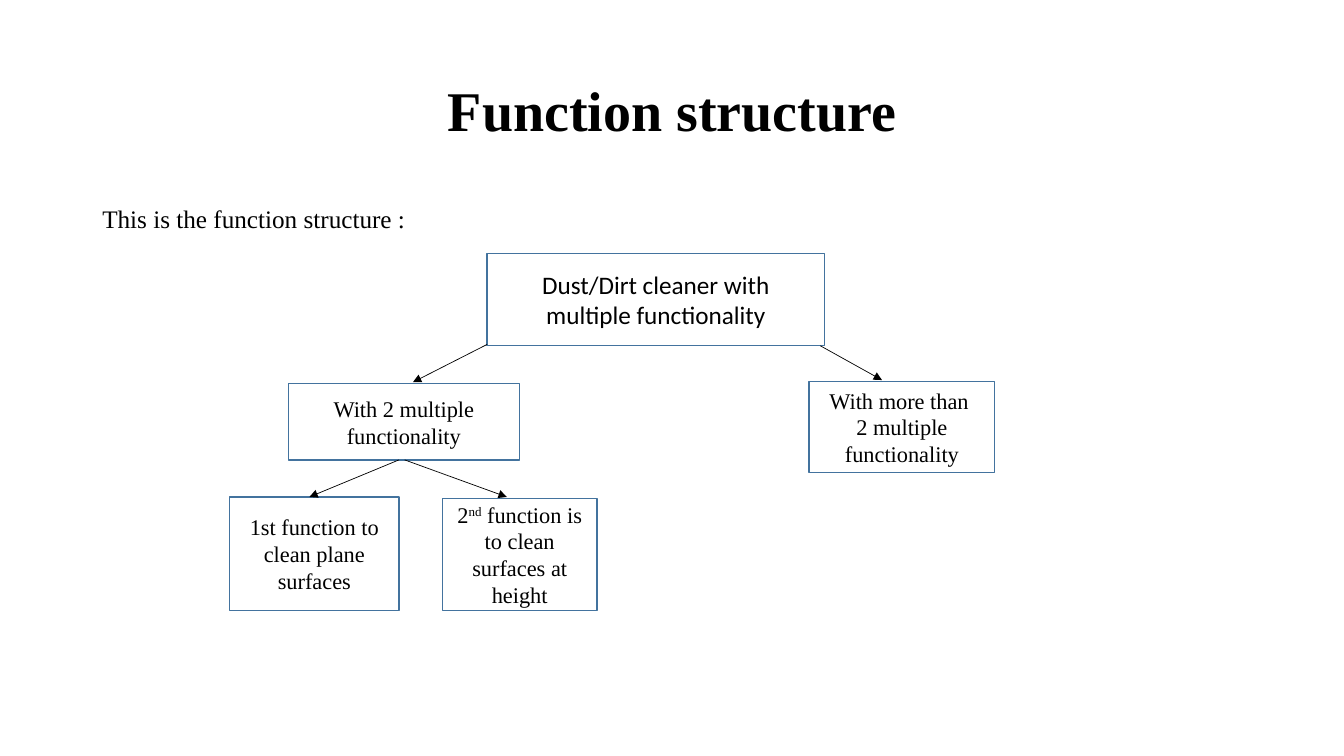
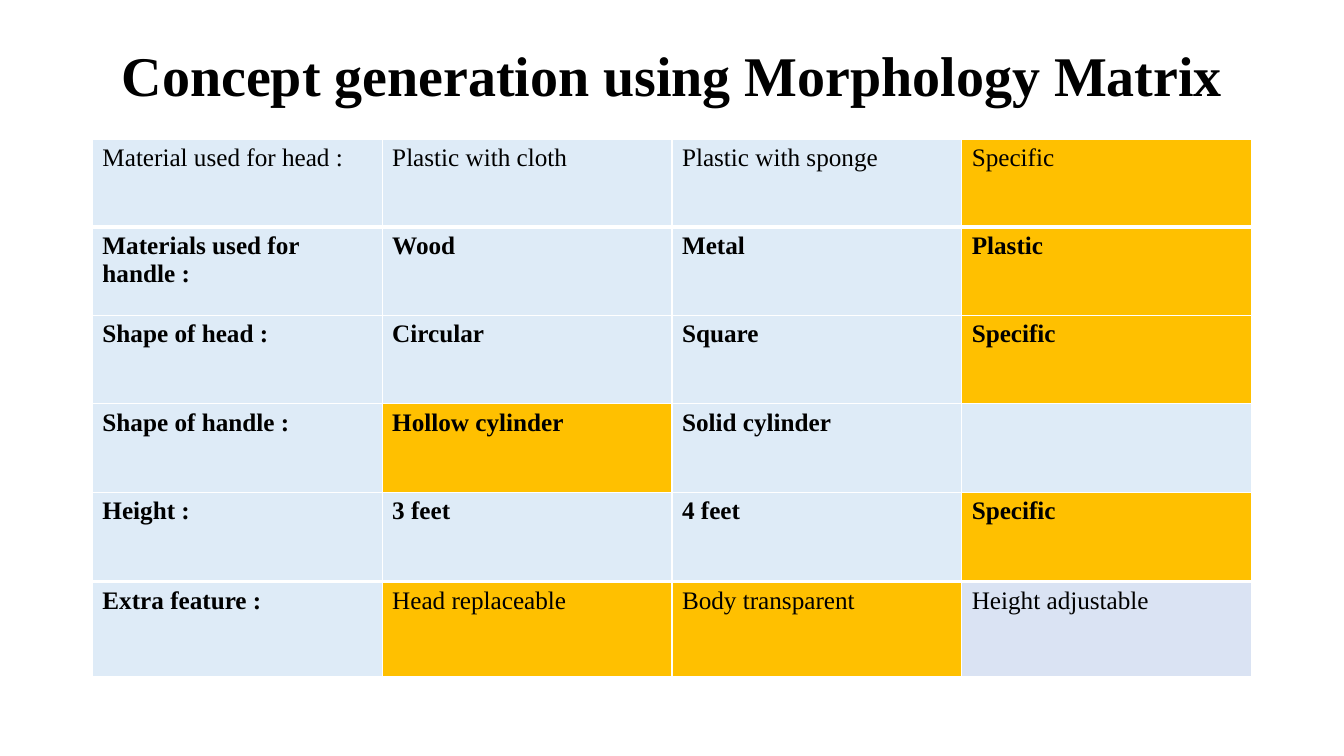
import pptx
import pptx.util
import pptx.dml.color
import pptx.enum.shapes
import pptx.enum.text
import pptx.oxml
import pptx.oxml.ns

Pt = pptx.util.Pt
ALIGN = pptx.enum.text.PP_ALIGN
ANCHOR = pptx.enum.text.MSO_ANCHOR
SERIF, SANS = "Times New Roman", "Calibri"
BLACK, WHITE, BOX_LINE = "000000", "FFFFFF", "43739E"
PALE, AMBER, LAVENDER = "DEEBF7", "FFC000", "DAE3F3"
LEFT, WIDTH = 66, 828


def rgb(color):
    return pptx.dml.color.RGBColor.from_string(color)


def format_paragraph(p, size, align=ALIGN.LEFT, font=SERIF, bold=False):
    p.alignment = align
    p.font.name, p.font.size, p.font.bold = font, Pt(size), bold
    p.font.color.rgb = rgb(BLACK)


def add_titled_slide(prs, title, top, height):
    s = prs.slides.add_slide(prs.slide_layouts[5])
    sp = s.shapes.title
    sp.left, sp.top, sp.width, sp.height = map(Pt, (LEFT, top, WIDTH, height))
    tf = sp.text_frame
    tf.text = title
    tf.word_wrap = True
    tf.auto_size = pptx.enum.text.MSO_AUTO_SIZE.NONE
    tf.vertical_anchor = ANCHOR.MIDDLE
    p = tf.paragraphs[0]
    format_paragraph(p, 40, ALIGN.CENTER, bold=True)
    p.line_spacing = 0.9
    return s


def add_intro(s, text, top):
    tf = s.shapes.add_textbox(Pt(LEFT), Pt(top), Pt(WIDTH), Pt(36)).text_frame
    tf.word_wrap = True
    p = tf.paragraphs[0]
    p.text = text
    format_paragraph(p, 18)
    p.line_spacing = 0.9


def add_box(s, bounds, lines, size=16, font=SERIF):
    """Add a bordered box; each line is a list of (text, is_superscript) runs."""
    sp = s.shapes.add_shape(pptx.enum.shapes.MSO_SHAPE.RECTANGLE, *map(Pt, bounds))
    sp.shadow.inherit = False
    sp.fill.solid()
    sp.fill.fore_color.rgb = rgb(WHITE)
    sp.line.color.rgb = rgb(BOX_LINE)
    sp.line.width = Pt(1)
    tf = sp.text_frame
    tf.vertical_anchor = ANCHOR.MIDDLE
    for i, runs in enumerate(lines):
        p = tf.add_paragraph() if i else tf.paragraphs[0]
        format_paragraph(p, size, ALIGN.CENTER, font)
        for text, is_superscript in runs:
            r = p.add_run()
            r.text = text
            if is_superscript:
                r.font._element.set("baseline", "30000")


def add_arrow(s, x1, y1, x2, y2):
    line = s.shapes.add_connector(
        pptx.enum.shapes.MSO_CONNECTOR.STRAIGHT, Pt(x1), Pt(y1), Pt(x2), Pt(y2))
    line.line.color.rgb = rgb(BLACK)
    line.line.width = Pt(0.5)
    ns = pptx.oxml.ns.nsdecls("a")
    line.line._get_or_add_ln().append(
        pptx.oxml.parse_xml(f'<a:tailEnd {ns} type="triangle"/>'))
    line._element.spPr.append(pptx.oxml.parse_xml(f"<a:effectLst {ns}/>"))


def set_borders(cell, bottom):
    """Draw white cell borders, 1 pt except for the bottom width given."""
    tcPr = cell._tc.get_or_add_tcPr()
    for tag, width in (("lnL", 1), ("lnR", 1), ("lnT", 1), ("lnB", bottom)):
        tcPr.append(pptx.oxml.parse_xml(
            f'<a:{tag} {pptx.oxml.ns.nsdecls("a")} w="{Pt(width)}"><a:solidFill>'
            f'<a:srgbClr val="{WHITE}"/></a:solidFill></a:{tag}>'))


def add_matrix(s, top, heights, rows, fills, plain):
    """Add a table; fills maps (row, column) to a colour, plain lists cells not in bold."""
    columns = len(rows[0])
    table = s.shapes.add_table(len(rows), columns, Pt(LEFT), Pt(top),
                               Pt(WIDTH), Pt(sum(heights))).table
    table.first_row = table.horz_banding = False
    for r, (height, texts) in enumerate(zip(heights, rows)):
        table.rows[r].height = Pt(height)
        for c, text in enumerate(texts):
            cell = table.cell(r, c)
            set_borders(cell, bottom=1 if r else 3)
            cell.fill.solid()
            cell.fill.fore_color.rgb = rgb(fills.get((r, c), PALE))
            p = cell.text_frame.paragraphs[0]
            p.text = text
            format_paragraph(p, 18, bold=(r, c) not in plain)


def add_function_structure(prs):
    s = add_titled_slide(prs, "Function structure", 29, 104)
    add_intro(s, "This is the function structure :", 144)
    add_box(s, (348, 181, 241, 66),
            [[("Dust/Dirt cleaner with multiple functionality", False)]], 18, SANS)
    for bounds, lines in (
        ((206, 274, 165, 54.5), [[("With 2 multiple functionality", False)]]),
        ((578, 272.5, 132.5, 65), [[("With more than ", False)],
                                   [("2 multiple functionality", False)]]),
        ((164, 355, 121, 81), [[("1st function to clean plane surfaces", False)]]),
        ((316, 356, 110.5, 80), [[("2", False), ("nd", True),
                                  (" function is to clean surfaces at height", False)]]),
    ):
        add_box(s, bounds, lines)
    for ends in ((348, 246, 295, 273), (586, 247, 630, 271.5),
                 (285, 328.5, 221, 355), (289, 328.5, 362, 355)):
        add_arrow(s, *ends)


def add_morphology_matrix(prs):
    s = add_titled_slide(prs, "Concept generation using Morphology Matrix", 21, 70)
    add_matrix(s, 99.5, [62.5] + [63.25] * 4, [
        ["Material used for head :", "Plastic with cloth", "Plastic with sponge", "Specific"],
        ["Materials used for handle :", "Wood", "Metal", "Plastic"],
        ["Shape of head :", "Circular", "Square", "Specific"],
        ["Shape of handle :", "Hollow cylinder", "Solid cylinder", ""],
        ["Height :", "3 feet", "4 feet", "Specific"],
    ], fills=dict.fromkeys([(0, 3), (1, 3), (2, 3), (3, 1), (4, 3)], AMBER),
        plain=[(0, c) for c in range(4)])
    add_matrix(s, 416, [68.5], [
        ["Extra feature :", "Head replaceable", "Body transparent", "Height adjustable"],
    ], fills={(0, 1): AMBER, (0, 2): AMBER, (0, 3): LAVENDER},
        plain=[(0, c) for c in range(1, 4)])


def main():
    prs = pptx.Presentation()
    prs.slide_width, prs.slide_height = Pt(960), Pt(540)
    add_function_structure(prs)
    add_morphology_matrix(prs)
    prs.save("out.pptx")


if __name__ == "__main__":
    main()
